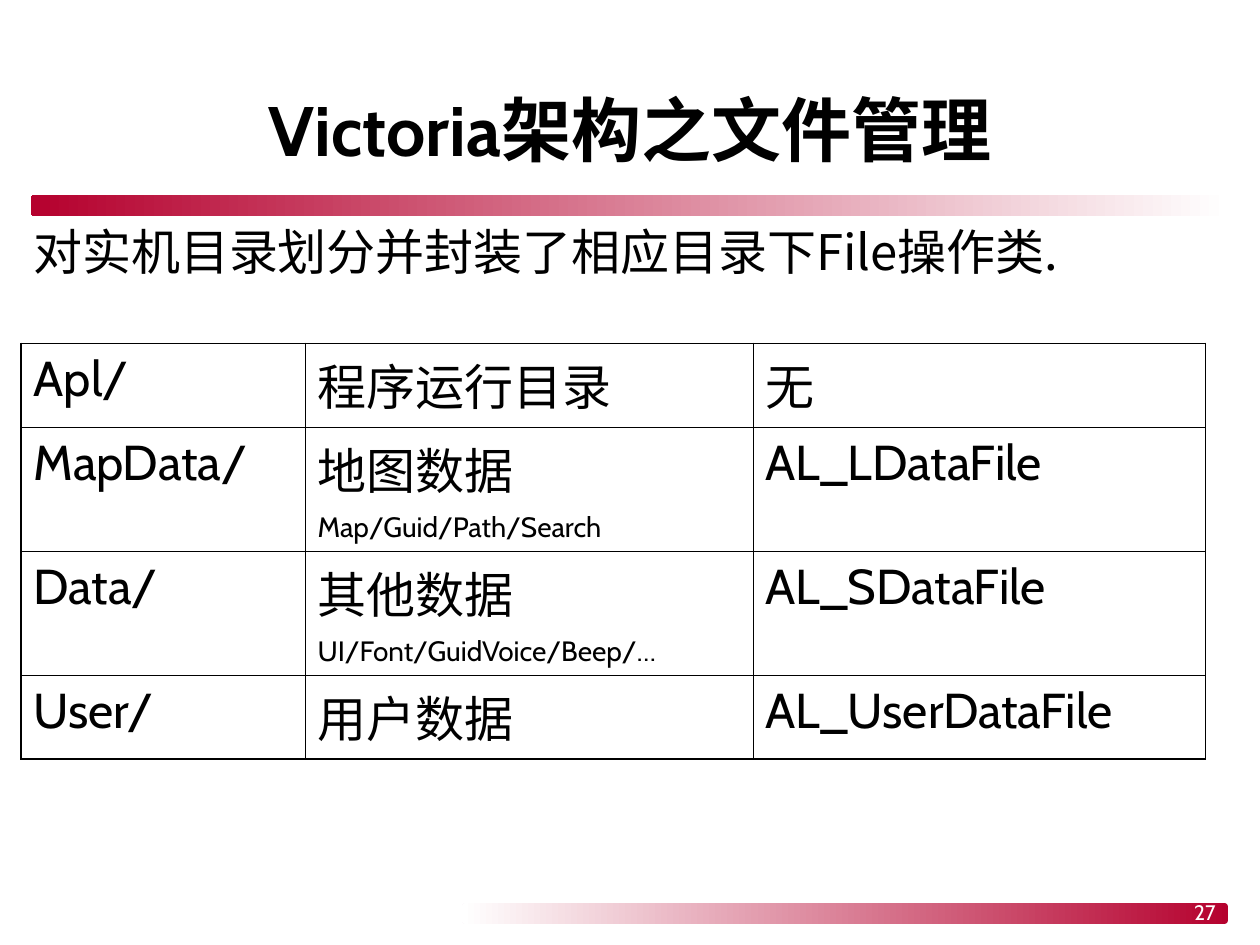
from lxml.etree import SubElement
from pptx import Presentation
from pptx.dml.color import RGBColor
from pptx.enum.shapes import MSO_SHAPE
from pptx.enum.text import MSO_ANCHOR, PP_ALIGN
from pptx.oxml.ns import qn
from pptx.util import Emu, Pt

TITLE = "Victoria架构之文件管理"
SUMMARY = "对实机目录划分并封装了相应目录下File操作类."
PAGE_NUMBER = "27"
DIRECTORIES = [
    (["Apl/"], ["程序运行目录"], ["无"]),
    (["MapData/"], ["地图数据", "Map/Guid/Path/Search"], ["AL_LDataFile"]),
    (["Data/"], ["其他数据", "UI/Font/GuidVoice/Beep/…"], ["AL_SDataFile"]),
    (["User/"], ["用户数据"], ["AL_UserDataFile"]),
]
COLUMN_WIDTHS = [284, 448, 452]
ROW_HEIGHTS = [84, 124, 124, 84]
BARS = [
    ((31, 195, 1197, 21), ("FFFFFF", "B5012E")),
    ((462, 903, 766, 21), ("B5012E", "FFFFFF")),
]
LATIN, CHINESE = "Cabin", "Noto Sans CJK JP"
THICK, THIN = 1.08, 0.45


def px(value):
    return Emu(round(value * 914400 / 126))


def color(value):
    return RGBColor.from_string(value)


def write(frame, lines, sizes=(28, 16), font=LATIN, ink="000000", bold=False,
          align=PP_ALIGN.LEFT, anchor=MSO_ANCHOR.TOP):
    frame.word_wrap = True
    frame.vertical_anchor = anchor
    for index, (line, size) in enumerate(zip(lines, sizes)):
        para = frame.add_paragraph() if index else frame.paragraphs[0]
        para.alignment = align
        if index:
            para.space_before = Pt(4)
        span = para.add_run()
        span.text = line
        span.font.size = Pt(size)
        span.font.name = font
        span.font.bold = bold
        span.font.color.rgb = color(ink)
        SubElement(span.font._element, qn("a:ea"), typeface=CHINESE)


def add_text(page, area, text, **style):
    box = page.shapes.add_textbox(*map(px, area))
    write(box.text_frame, [text], **style)


def add_bar(page, area, stops):
    bar = page.shapes.add_shape(MSO_SHAPE.ROUNDED_RECTANGLE, *map(px, area))
    bar.shadow.inherit = False
    bar.adjustments[0] = 0.17
    bar.line.fill.background()
    bar.fill.gradient()
    bar.fill.gradient_angle = 180
    for stop, value in zip(bar.fill.gradient_stops, stops):
        stop.color.rgb = color(value)


def add_border(cell, side, width):
    line = SubElement(cell._tc.get_or_add_tcPr(), qn(f"a:ln{side}"), w=str(Pt(width)))
    fill = SubElement(line, qn("a:solidFill"))
    SubElement(fill, qn("a:srgbClr"), val="000000")


def add_directory_table(page):
    rows, columns = len(ROW_HEIGHTS), len(COLUMN_WIDTHS)
    area = (21, 343, sum(COLUMN_WIDTHS), sum(ROW_HEIGHTS))
    table = page.shapes.add_table(rows, columns, *map(px, area)).table
    table.first_row = table.horz_banding = False
    for column, width in zip(table.columns, COLUMN_WIDTHS):
        column.width = px(width)
    for row, height in zip(table.rows, ROW_HEIGHTS):
        row.height = px(height)
    for r, entry in enumerate(DIRECTORIES):
        for c, lines in enumerate(entry):
            cell = table.cell(r, c)
            write(cell.text_frame, lines)
            thick_edges = {"L": c == 0, "R": False, "T": False, "B": r == rows - 1}
            for side, thick in thick_edges.items():
                add_border(cell, side, THICK if thick else THIN)
            cell.fill.background()


def main():
    deck = Presentation()
    deck.slide_width, deck.slide_height = px(1260), px(945)
    page = deck.slides.add_slide(deck.slide_layouts[6])
    for area, stops in BARS:
        add_bar(page, area, stops)
    add_text(page, (21, 62, 1218, 132), TITLE, sizes=[40], bold=True,
             align=PP_ALIGN.CENTER, anchor=MSO_ANCHOR.MIDDLE)
    add_text(page, (21, 215, 1218, 677), SUMMARY, font=CHINESE)
    add_directory_table(page)
    add_text(page, (1123, 893, 105, 42), PAGE_NUMBER, sizes=[12], ink="FFFFFF",
             align=PP_ALIGN.RIGHT)
    deck.save("out.pptx")


if __name__ == "__main__":
    main()
